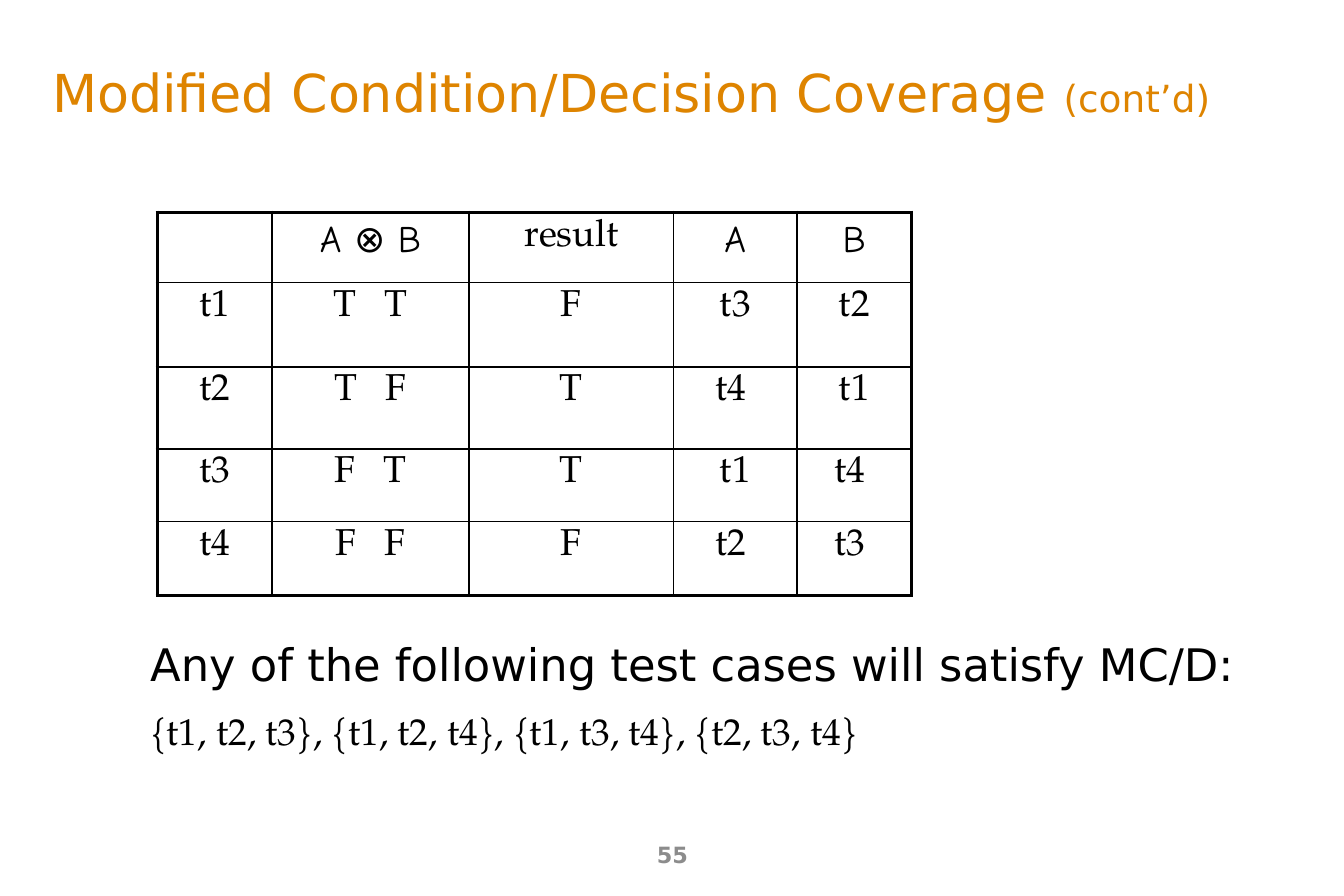
"""Build the modified condition/decision coverage slide."""
from dataclasses import dataclass
from typing import Any

from lxml.etree import SubElement
from pptx import Presentation
from pptx.dml.color import RGBColor
from pptx.enum.text import MSO_ANCHOR as Anchor, MSO_AUTO_SIZE as AutoSize, PP_ALIGN as Align
from pptx.oxml.ns import qn
from pptx.util import Pt

BLACK = RGBColor(0x00, 0x00, 0x00)
ORANGE = RGBColor(0xDE, 0x84, 0x00)
GREY = RGBColor(0x8C, 0x8C, 0x8C)
SANS, COMIC, SERIF = "DejaVu Sans", "Comic Neue", "TeX Gyre Pagella"

COLUMN_WIDTHS = (61.2, 105.8, 109.4, 66.3, 61.2)
ROW_HEIGHTS = (37.5, 45.4, 43.9, 38.9, 39.6)
THIN, THICK = 1, 2.25
PAIR_GAP = 10
ROWS = (
    ("", "A ⊗ B", "result", "A", "B"),
    ("t1", "T T", "F", "t3", "t2"),
    ("t2", "T F", "T", "t4 ", "t1"),
    ("t3", "F T", "T", "t1", "t4 "),
    ("t4", "F F", "F", "t2 ", "t3 "),
)


@dataclass(frozen=True)
class Span:
    text: str
    size: float
    font: str = SANS
    color: RGBColor = BLACK
    bold: bool = False
    tracking: float = 0


@dataclass(frozen=True)
class TextBlock:
    left: float
    top: float
    width: float
    height: float
    paragraphs: tuple[tuple[Span, ...], ...]
    frame_format: dict[str, Any]
    paragraph_format: dict[str, Any]
    gap: float = 0


BLOCKS = (
    TextBlock(246.2, 445, 228.2, 25.9, ((Span("55", 12, color=GREY, bold=True),),),
              {"vertical_anchor": Anchor.MIDDLE}, {"alignment": Align.CENTER}),
    TextBlock(20.9, 19.4, 673.2, 59.8,
              ((Span("Modified Condition/Decision Coverage ", 28, color=ORANGE),
                Span("(cont’d)", 20, color=ORANGE)),),
              {"vertical_anchor": Anchor.MIDDLE}, {"alignment": Align.LEFT}),
    TextBlock(73.4, 340.6, 614.2, 67.7,
              ((Span("Any of the following test cases will satisfy MC/D:", 24),),
               (Span("{t1, t2, t3}, {t1, t2, t4}, {t1, t3, t4}, {t2, t3, t4}", 20, SERIF),)),
              {"vertical_anchor": Anchor.TOP, "auto_size": AutoSize.SHAPE_TO_FIT_TEXT},
              {"alignment": Align.LEFT, "line_spacing": 0.9}, gap=12),
)


def apply_format(target: Any, values: dict[str, Any]) -> None:
    """Set each named attribute on the target."""
    for name, value in values.items():
        setattr(target, name, value)


def add_span(para: Any, span: Span) -> None:
    """Append one formatted run to a paragraph."""
    run = para.add_run()
    run.text = span.text
    apply_format(run.font, {"name": span.font, "size": Pt(span.size), "bold": span.bold})
    run.font.color.rgb = span.color
    if span.tracking:
        run.font._element.set("spc", str(round(span.tracking * 100)))


def add_text(page: Any, block: TextBlock) -> None:
    """Draw one text box with its paragraphs."""
    box = page.shapes.add_textbox(Pt(block.left), Pt(block.top), Pt(block.width), Pt(block.height))
    frame = box.text_frame
    apply_format(frame, {"word_wrap": True} | block.frame_format)
    for index, spans in enumerate(block.paragraphs):
        para = frame.add_paragraph() if index else frame.paragraphs[0]
        apply_format(para, block.paragraph_format)
        para.space_before = Pt(block.gap if index else 0)
        for span in spans:
            add_span(para, span)


def set_borders(cell: Any, widths: dict[str, float]) -> None:
    """Give a cell solid black borders of the given widths."""
    properties = cell._tc.get_or_add_tcPr()
    for side, width in widths.items():
        line = SubElement(properties, qn(f"a:ln{side}"), w=str(Pt(width)))
        fill = SubElement(line, qn("a:solidFill"))
        SubElement(fill, qn("a:srgbClr"), val=str(BLACK))


def cell_spans(text: str, is_header: bool) -> list[Span]:
    """Split a cell text into runs, widening the gap in a truth pair."""
    font = COMIC if is_header and text != "result" else SERIF
    first, space, second = text.partition(" ")
    if is_header or not second:
        return [Span(text, 20, font)]
    return [Span(first, 20, font), Span(space, 20, font, tracking=PAIR_GAP), Span(second, 20, font)]


def add_truth_table(page: Any, left: float, top: float) -> None:
    """Draw the truth table with a thick outer frame."""
    last_row, last_column = len(ROWS) - 1, len(COLUMN_WIDTHS) - 1
    graphic = page.shapes.add_table(len(ROWS), len(COLUMN_WIDTHS), Pt(left), Pt(top),
                                    Pt(sum(COLUMN_WIDTHS)), Pt(sum(ROW_HEIGHTS)))
    table = graphic.table
    apply_format(table, {"first_row": False, "horz_banding": False})
    for column, width in zip(table.columns, COLUMN_WIDTHS):
        column.width = Pt(width)
    for row, height in zip(table.rows, ROW_HEIGHTS):
        row.height = Pt(height)
    for r, texts in enumerate(ROWS):
        for c, text in enumerate(texts):
            cell = table.cell(r, c)
            outer = {"L": c == 0, "R": c == last_column, "T": r == 0, "B": r == last_row}
            set_borders(cell, {side: THICK if edge else THIN for side, edge in outer.items()})
            cell.fill.background()
            para = cell.text_frame.paragraphs[0]
            para.alignment = Align.CENTER
            if text:
                for span in cell_spans(text, r == 0):
                    add_span(para, span)


def main() -> None:
    """Create the deck and save it."""
    deck = Presentation()
    apply_format(deck, {"slide_width": Pt(720), "slide_height": Pt(480)})
    page = deck.slides.add_slide(deck.slide_layouts[6])
    for block in BLOCKS:
        add_text(page, block)
    add_truth_table(page, 84.4, 113.8)
    deck.save("out.pptx")


if __name__ == "__main__":
    main()
